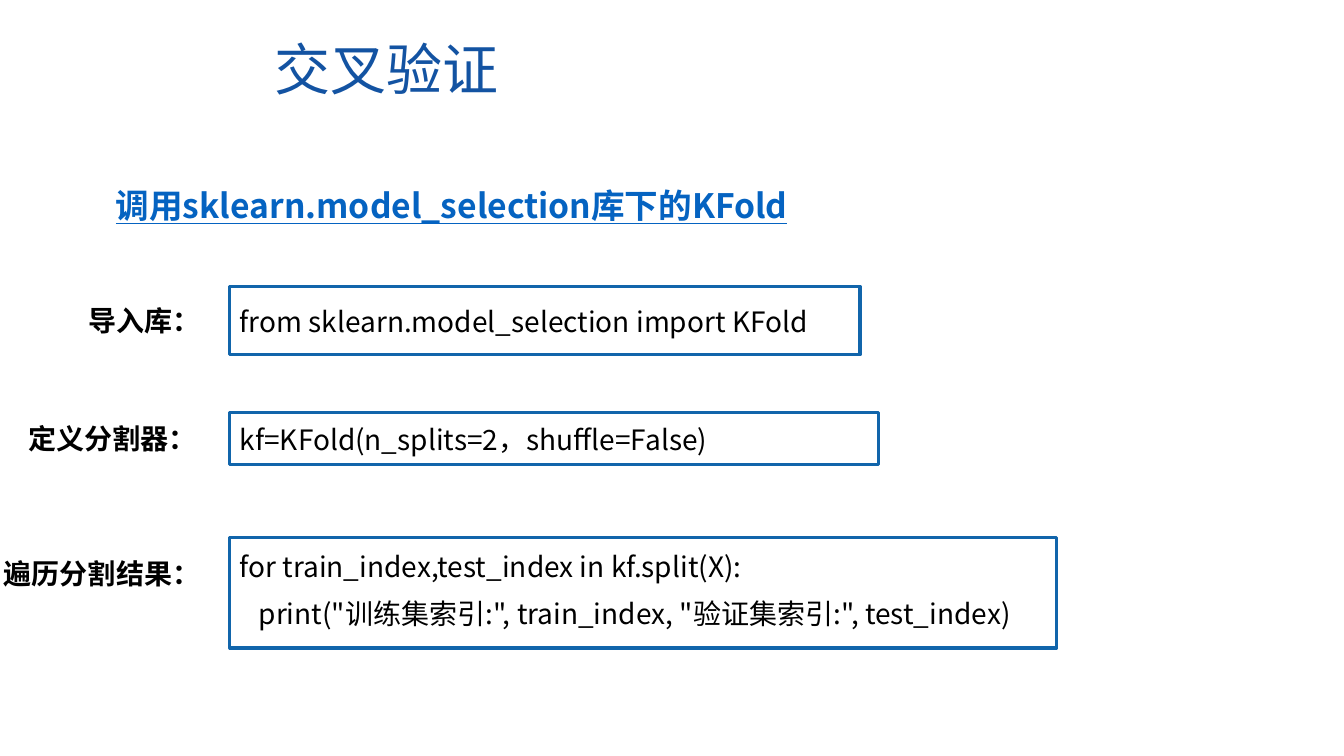
"""Build the cross-validation slide with its three KFold code steps."""
from dataclasses import dataclass

from lxml import etree
from pptx import Presentation
from pptx import util as u
from pptx.dml.color import RGBColor
from pptx.enum import shapes, text
from pptx.oxml import ns


@dataclass(frozen=True)
class Theme:
    title: str = "1353A2"
    link: str = "0563C1"
    ink: str = "000000"
    edge: str = "1165AB"
    serif: str = "Times New Roman"
    sans: str = "Arial"
    cjk: str = "Noto Sans CJK SC"
    big: int = 40
    mid: int = 24
    body: int = 20
    gap: int = 10
    rule: float = 2.25


@dataclass(frozen=True)
class Box:
    left: float
    top: float
    width: float
    height: float

    def place(self) -> tuple:
        return tuple(u.Inches(n) for n in (self.left, self.top, self.width, self.height))


@dataclass(frozen=True)
class Step:
    label: str
    spot: Box
    indent: float
    code: str
    area: Box
    frame: Box


THEME = Theme()
LEFT = 2.28
STEPS = (
    Step("导入库：", Box(0.28, 2.96, 1.85, 0.46), 0.5,
         "from sklearn.model_selection import KFold",
         Box(LEFT, 2.97, 6.25, 0.52), Box(LEFT, 2.84, 6.25, 0.68)),
    Step("定义分割器：", Box(-0.32, 4.13, 2.6, 0.46), 0.5,
         "kf=KFold(n_splits=2，shuffle=False)",
         Box(LEFT, 4.14, 6.43, 0.44), Box(LEFT, 4.09, 6.43, 0.52)),
    Step("遍历分割结果：", Box(-0.06, 5.47, 2.33, 1.06), 0,
         "for train_index,test_index in kf.split(X):\n"
         '   print("训练集索引:", train_index, "验证集索引:", test_index)',
         Box(LEFT, 5.4, 8.12, 0.91), Box(LEFT, 5.33, 8.2, 1.1)),
)


def style(frame, face: str, size: int, color: str, bold: bool = False) -> None:
    frame.word_wrap = True
    for row, para in enumerate(frame.paragraphs):
        para.alignment = text.PP_ALIGN.LEFT
        para.space_before = u.Pt(THEME.gap if row else 0)
        for run in para.runs:
            font = run.font
            font.name, font.size, font.bold = face, u.Pt(size), bold
            font.color.rgb = RGBColor.from_string(color)
            east = etree.SubElement(font._element, ns.qn("a:ea"))
            east.set("typeface", THEME.cjk)


def write(host, box: Box, words: str, face: str, size: int, color: str,
          bold: bool = False):
    frame = host.add_textbox(*box.place()).text_frame
    frame.text = words
    style(frame, face, size, color, bold)
    return frame


def shift(para, margin: float, indent: float) -> None:
    props = para._p.get_or_add_pPr()
    props.set("marL", str(u.Inches(margin)))
    props.set("indent", str(u.Inches(indent)))


def draw(host, step: Step) -> None:
    label = write(host, step.spot, step.label, THEME.sans, THEME.body, THEME.ink, True)
    shift(label.paragraphs[0], 0, step.indent)
    group = host.add_group_shape().shapes
    write(group, step.area, step.code, THEME.cjk, THEME.body, THEME.ink)
    rect = group.add_shape(shapes.MSO_SHAPE.RECTANGLE, *step.frame.place())
    rect.shadow.inherit = False
    rect.fill.background()
    rect.line.color.rgb = RGBColor.from_string(THEME.edge)
    rect.line.width = u.Pt(THEME.rule)


def main() -> None:
    deck = Presentation()
    deck.slide_width, deck.slide_height = u.Inches(13.33), u.Inches(7.5)
    slide = deck.slides.add_slide(deck.slide_layouts[5])
    title = slide.shapes.title
    title.left, title.top, title.width, title.height = Box(2.62, 0.29, 9.16, 0.77).place()
    title.text_frame.text = "交叉验证"
    title.text_frame.auto_size = text.MSO_AUTO_SIZE.NONE
    title.text_frame.vertical_anchor = text.MSO_ANCHOR.MIDDLE
    style(title.text_frame, THEME.serif, THEME.big, THEME.title)
    head = write(slide.shapes, Box(0.8, 1.83, 11.83, 1.58),
                 "调用sklearn.model_selection库下的KFold",
                 THEME.cjk, THEME.mid, THEME.link, True).paragraphs[0]
    shift(head, 0.25, 0)
    head.line_spacing = 0.9
    head.runs[0].font.underline = True
    for step in STEPS:
        draw(slide.shapes, step)
    deck.save("out.pptx")


if __name__ == "__main__":
    main()
